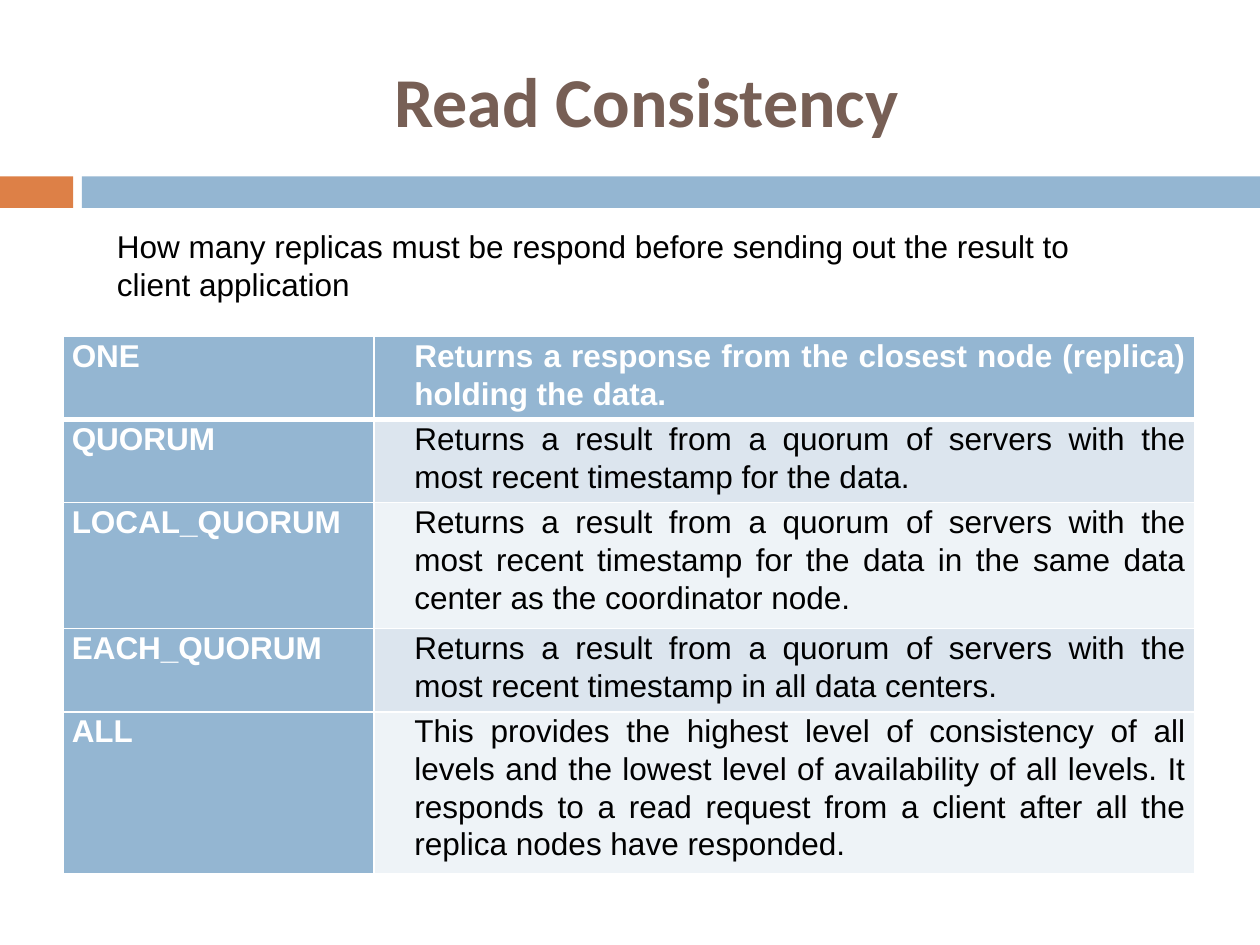
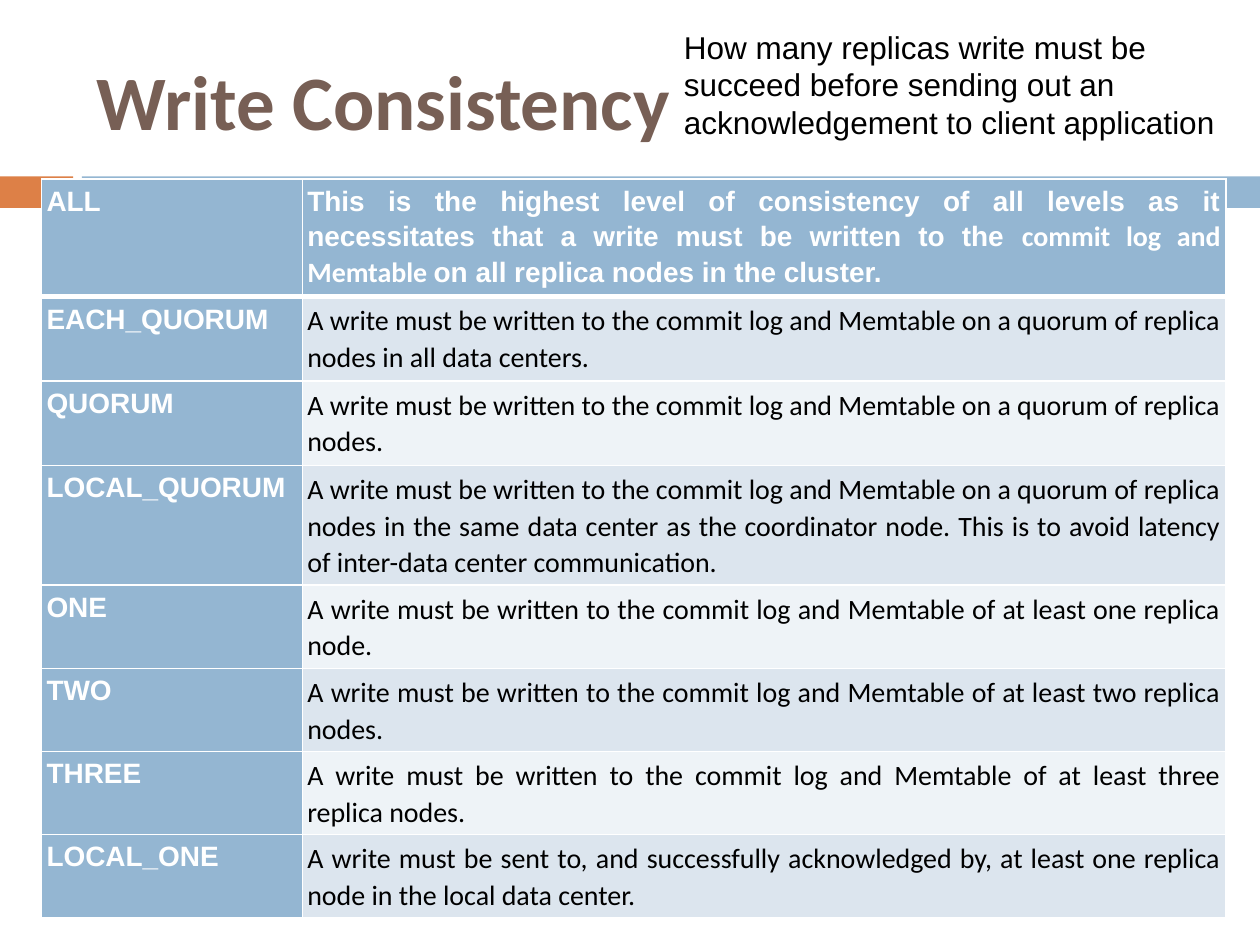
from lxml.etree import SubElement
from pptx import Presentation
from pptx.dml.color import RGBColor
from pptx.enum.shapes import MSO_SHAPE as Shape
from pptx.enum.text import MSO_ANCHOR as Anchor, PP_ALIGN as Align
from pptx.oxml.ns import qn
from pptx.util import Inches, Pt

COLORS = {
    "accent": "DD8047",
    "band": "94B6D2",
    "title": "775F55",
    "text": "000000",
    "white": "FFFFFF",
    "dark_row": "DCE5EE",
    "light_row": "EEF3F7",
}
TITLE_BOX = (0.67, 0.25, 8.92, 1.08)

READ_LEVELS = [
    ("ONE", "Returns a response from the closest node (replica) holding the data."),
    ("QUORUM", "Returns a result from a quorum of servers with the most recent timestamp for the data."),
    ("LOCAL_QUORUM", "Returns a result from a quorum of servers with the most recent timestamp "
                     "for the data in the same data center as the coordinator node."),
    ("EACH_QUORUM", "Returns a result from a quorum of servers with the most recent timestamp in all data centers."),
    ("ALL", "This provides the highest level of consistency of all levels and the lowest level of "
            "availability of all levels. It responds to a read request from a client after all the "
            "replica nodes have responded."),
]

LOGGED = "A write must be written to the commit log and Memtable "
WRITE_LEVELS = [
    ("ALL", [("This is the highest level of consistency of all levels as it necessitates that a write "
              "must be written to the ", "Arial"),
             ("commit log and Memtable ", "Calibri"),
             ("on all replica nodes in the cluster.", "Arial")]),
    ("EACH_QUORUM", LOGGED + "on a quorum of replica nodes in all data centers."),
    ("QUORUM", LOGGED + "on a quorum of replica nodes."),
    ("LOCAL_QUORUM", LOGGED + "on a quorum of replica nodes in the same data center as the coordinator node. "
                              "This is to avoid latency of inter-data center communication."),
    ("ONE", LOGGED + "of at least one replica node."),
    ("TWO", LOGGED + "of at least two replica nodes."),
    ("THREE", LOGGED + "of at least three replica nodes."),
    ("LOCAL_ONE", "A write must be sent to, and successfully acknowledged by, at least one replica "
                  "node in the local data center."),
]


def color(name):
    return RGBColor.from_string(COLORS[name])


def style_font(font, size, fill, name=None, bold=False):
    font.size = Pt(size)
    font.bold = bold
    font.color.rgb = color(fill)
    if name:
        font.name = name


def add_band(page, left, width, fill):
    band = page.shapes.add_shape(Shape.RECTANGLE, Inches(left), Inches(1.4), Inches(width), Inches(0.25))
    band.shadow.inherit = False
    band.fill.solid()
    band.fill.fore_color.rgb = color(fill)
    band.line.fill.background()


def add_text(page, box, text, size, fill="text", name="Arial", bold=False, align=Align.LEFT, anchor=Anchor.TOP):
    frame = page.shapes.add_textbox(*map(Inches, box)).text_frame
    frame.word_wrap = True
    frame.vertical_anchor = anchor
    para = frame.paragraphs[0]
    para.text = text
    para.alignment = align
    style_font(para.font, size, fill, name, bold)


def add_page(deck, title, size, align):
    page = deck.slides.add_slide(deck.slide_layouts[6])
    add_band(page, 0, 0.58, "accent")
    add_band(page, 0.65, 9.35, "band")
    add_text(page, TITLE_BOX, title, size, "title", "Calibri", True, align, Anchor.MIDDLE)
    return page


def set_borders(cell, row):
    properties = cell._tc.get_or_add_tcPr()
    widths = {"lnL": 1, "lnR": 1, "lnT": 3 if row == 1 else 1, "lnB": 3 if row == 0 else 1}
    for side, width in widths.items():
        line = SubElement(properties, qn("a:" + side), w=str(Pt(width)))
        fill = SubElement(line, qn("a:solidFill"))
        SubElement(fill, qn("a:srgbClr"), val=COLORS["white"])


def fill_cell(cell, row, column, content, size, font_name, align, insets, indent):
    side, top = map(Inches, insets)
    cell.margin_left = cell.margin_right = side
    cell.margin_top = cell.margin_bottom = top
    set_borders(cell, row)
    heading = row == 0 or column == 0
    cell.fill.solid()
    cell.fill.fore_color.rgb = color("band" if heading else "dark_row" if row % 2 else "light_row")
    para = cell.text_frame.paragraphs[0]
    para.alignment = align
    para.line_spacing = 1.07
    if indent:
        para._p.get_or_add_pPr().set("marL", str(Inches(indent)))
    spans = [(content, font_name)] if isinstance(content, str) else content
    for text, name in spans:
        span = para.add_run()
        span.text = text
        span.font.name = name
    style_font(para.font, size, "white" if heading else "text", bold=heading)


def add_levels(page, box, levels, widths, heights, size, body_font, name_align, insets, indent=0):
    table = page.shapes.add_table(len(levels), 2, *map(Inches, box)).table
    table.first_row = table.horz_banding = False
    for column, width in zip(table.columns, widths):
        column.width = Inches(width)
    for row, (level, height) in enumerate(zip(levels, heights)):
        table.rows[row].height = Inches(height)
        name, meaning = level
        fill_cell(table.cell(row, 0), row, 0, name, size, "Arial", name_align, insets, 0)
        fill_cell(table.cell(row, 1), row, 1, meaning, size, body_font, Align.JUSTIFY, insets, indent)


def build_read_page(deck):
    page = add_page(deck, "Read Consistency", 40, Align.CENTER)
    add_levels(page, (0.5, 2.67, 8.98, 4.18), READ_LEVELS, (2.47, 6.51), (0.66, 0.66, 1, 0.66, 1.2),
               18, "Arial", Align.JUSTIFY, (0.07, 0), 0.25)
    add_text(page, (0.83, 1.75, 8.25, 0.71),
             "How many replicas must be respond before sending out the result to client application", 18)


def build_write_page(deck):
    page = add_page(deck, "Write Consistency", 44, Align.LEFT)
    heights = [0.93, 0.67, 0.67, 0.95] + [0.66] * 4
    add_levels(page, (0.33, 1.42, 9.4, 5.86), WRITE_LEVELS, (2.07, 7.33), heights,
               16, "Calibri", Align.LEFT, (0.04, 0.04))
    add_text(page, (5.33, 0.17, 4.42, 1.01),
             "How many replicas write must be succeed before sending out an "
             "acknowledgement to client application", 18)


def main():
    deck = Presentation()
    deck.slide_width, deck.slide_height = Inches(10), Inches(7.5)
    build_read_page(deck)
    build_write_page(deck)
    deck.save("out.pptx")


if __name__ == "__main__":
    main()
